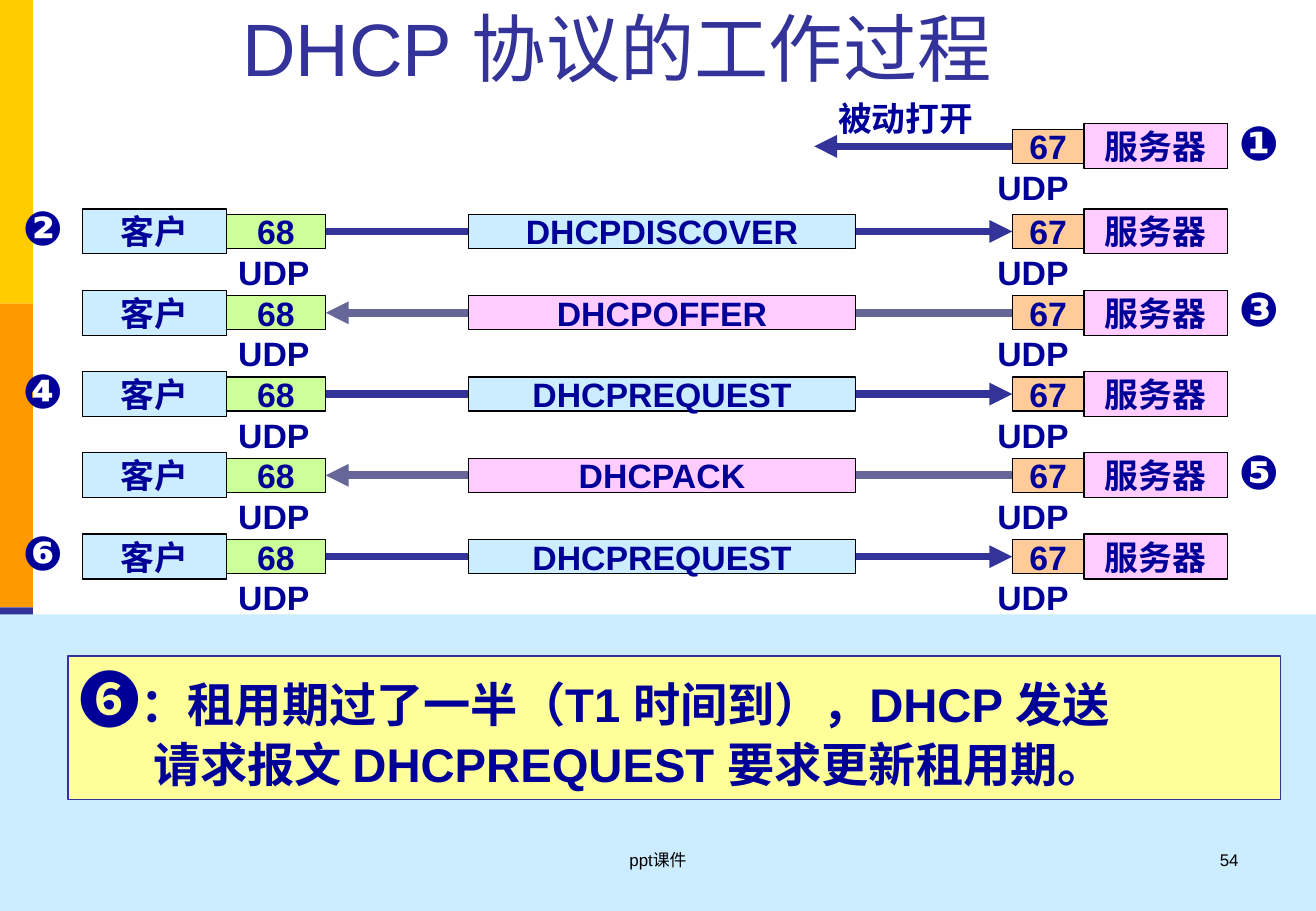
import pptx
import pptx.dml.color
import pptx.enum.shapes
import pptx.enum.text
import pptx.oxml
import pptx.oxml.ns
import pptx.util
from dataclasses import dataclass

Cm = pptx.util.Cm
Pt = pptx.util.Pt
ALIGN = pptx.enum.text.PP_ALIGN
ANCHOR = pptx.enum.text.MSO_ANCHOR
LEFT, RIGHT = 1, 3


@dataclass(frozen=True)
class Theme:
    font: str = "Arial"
    # Colours
    text: str = "000099"
    black: str = "000000"
    indigo: str = "333399"
    slate: str = "666699"
    gold: str = "FFCC00"
    orange: str = "FF9900"
    sky: str = "CCECFF"
    pink: str = "FFCCFF"
    peach: str = "FFCC99"
    lime: str = "CCFF99"
    yellow: str = "FFFF99"
    # Type sizes in points
    title: int = 44
    big_number: int = 36
    note: int = 28
    label: int = 20
    footer: int = 10


THEME = Theme()


def rgb(value):
    return pptx.dml.color.RGBColor.from_string(value)


def put_text(paragraph, text, *, size=THEME.label, color=THEME.text, bold=True, align=ALIGN.LEFT):
    paragraph.alignment = align
    run = paragraph.add_run()
    run.text = text
    run.font.name = THEME.font
    run.font.size = Pt(size)
    run.font.bold = bold
    run.font.color.rgb = rgb(color)


class SlideBuilder:
    def __init__(self, slide, theme):
        self.slide = slide
        self.theme = theme

    def box(self, left, top, width, height, fill, text=None, line=None):
        shape = self.slide.shapes.add_shape(
            pptx.enum.shapes.MSO_SHAPE.RECTANGLE, Cm(left), Cm(top), Cm(width), Cm(height))
        shape.shadow.inherit = False
        shape.fill.solid()
        shape.fill.fore_color.rgb = rgb(fill)
        if line:
            shape.line.color.rgb = rgb(line)
            shape.line.width = Pt(0.75)
        else:
            shape.line.fill.background()
        if text:
            frame = shape.text_frame
            frame.word_wrap = False
            frame.vertical_anchor = ANCHOR.MIDDLE
            put_text(frame.paragraphs[0], text, align=ALIGN.CENTER)
        return shape

    def centred_box(self, left, center, width, height, fill, text):
        return self.box(left, center - height / 2, width, height, fill, text, self.theme.black)

    def text(self, left, top, width, height, text, wrap=False, anchor=ANCHOR.TOP, **text_format):
        shape = self.slide.shapes.add_textbox(Cm(left), Cm(top), Cm(width), Cm(height))
        frame = shape.text_frame
        frame.word_wrap = wrap
        frame.vertical_anchor = anchor
        put_text(frame.paragraphs[0], text, **text_format)

    def arrow(self, start, color, end=None, end_point=(0, 0)):
        """Start and end are (shape, side) pairs; end_point is in centimetres."""
        connector = self.slide.shapes.add_connector(
            pptx.enum.shapes.MSO_CONNECTOR.STRAIGHT, 0, 0, *map(Cm, end_point))
        connector.begin_connect(*start)
        if end:
            connector.end_connect(*end)
        connector.line.color.rgb = rgb(color)
        connector.line.width = Pt(4.5)
        namespace = pptx.oxml.ns.nsdecls("a")
        connector.line._get_or_add_ln().append(
            pptx.oxml.parse_xml(f'<a:tailEnd {namespace} type="triangle"/>'))
        connector._element.spPr.append(pptx.oxml.parse_xml(f"<a:effectLst {namespace}/>"))

    def client(self, center):
        self.centred_box(1.73, center, 3, 0.94, self.theme.sky, "客户")
        self.text(4.73, center + 0.3, 2.03, 1.12, "UDP")
        return self.centred_box(4.73, center, 2.08, 0.71, self.theme.lime, "68")

    def server(self, center):
        self.centred_box(22.66, center, 3, 0.94, self.theme.pink, "服务器")
        self.text(20.6, center + 0.3, 2.03, 1.12, "UDP")
        return self.centred_box(21.16, center, 1.5, 0.71, self.theme.peach, "67")

    def step(self, left, center, number):
        self.text(left, center - 0.82, 1.4, 1.45, number, size=self.theme.note)

    def exchange(self, center, number, message, from_client):
        theme = self.theme
        client_end = (self.client(center), RIGHT)
        server_end = (self.server(center), LEFT)
        if from_client:
            self.arrow(client_end, theme.indigo, end=server_end)
        else:
            self.arrow(server_end, theme.slate, end=client_end)
        fill = theme.sky if from_client else theme.pink
        self.centred_box(9.8, center, 8.08, 0.71, fill, message)
        self.step(0.23 if from_client else 25.65, center, number)


def main():
    theme = THEME
    presentation = pptx.Presentation()
    presentation.slide_width = Cm(27.51)
    presentation.slide_height = Cm(19.05)
    slide = presentation.slides.add_slide(presentation.slide_layouts[6])
    builder = SlideBuilder(slide, theme)

    # Side band
    for index, color in enumerate((theme.gold, theme.orange, theme.indigo)):
        builder.box(0, 6.35 * index, 0.69, 6.35, color)

    # Title
    builder.text(1.18, 0.53, 23.44, 1.5, "DHCP 协议的工作过程", wrap=True, anchor=ANCHOR.BOTTOM,
                 size=theme.title, color=theme.indigo, bold=False, align=ALIGN.CENTER)

    # Passive open
    opening = 3.06
    builder.arrow((builder.server(opening), LEFT), theme.indigo, end_point=(17.02, opening))
    builder.text(17.27, 1.93, 3.35, 1.12, "被动打开")
    builder.step(25.65, opening, "❶")

    # Message exchanges
    exchanges = (
        ("❷", "DHCPDISCOVER", True),
        ("❸", "DHCPOFFER", False),
        ("❹", "DHCPREQUEST", True),
        ("❺", "DHCPACK", False),
        ("❻", "DHCPREQUEST", True),
    )
    for index, (number, message, from_client) in enumerate(exchanges):
        builder.exchange(4.84 + 1.7 * index, number, message, from_client)

    # Explanation
    builder.box(0, 12.85, 27.51, 6.2, theme.sky)
    note = builder.box(1.42, 13.72, 25.35, 3, theme.yellow, line=theme.indigo)
    frame = note.text_frame
    frame.word_wrap = True
    frame.vertical_anchor = ANCHOR.TOP
    first = frame.paragraphs[0]
    put_text(first, "❻", size=theme.big_number, align=ALIGN.JUSTIFY)
    put_text(first, "：租用期过了一半（T1 时间到），DHCP 发送",
             size=theme.note, align=ALIGN.JUSTIFY)
    second = frame.add_paragraph()
    second._p.get_or_add_pPr().set("marL", str(Cm(1.53)))
    put_text(second, "请求报文 DHCPREQUEST 要求更新租用期。",
             size=theme.note, align=ALIGN.JUSTIFY)

    # Footer
    footer = {"wrap": True, "size": theme.footer, "color": theme.black, "bold": False}
    builder.text(9.4, 17.65, 8.71, 1.27, "ppt课件", align=ALIGN.CENTER, **footer)
    builder.text(19.71, 17.65, 6.43, 1.27, "54", align=ALIGN.RIGHT, **footer)

    presentation.save("out.pptx")


if __name__ == "__main__":
    main()
